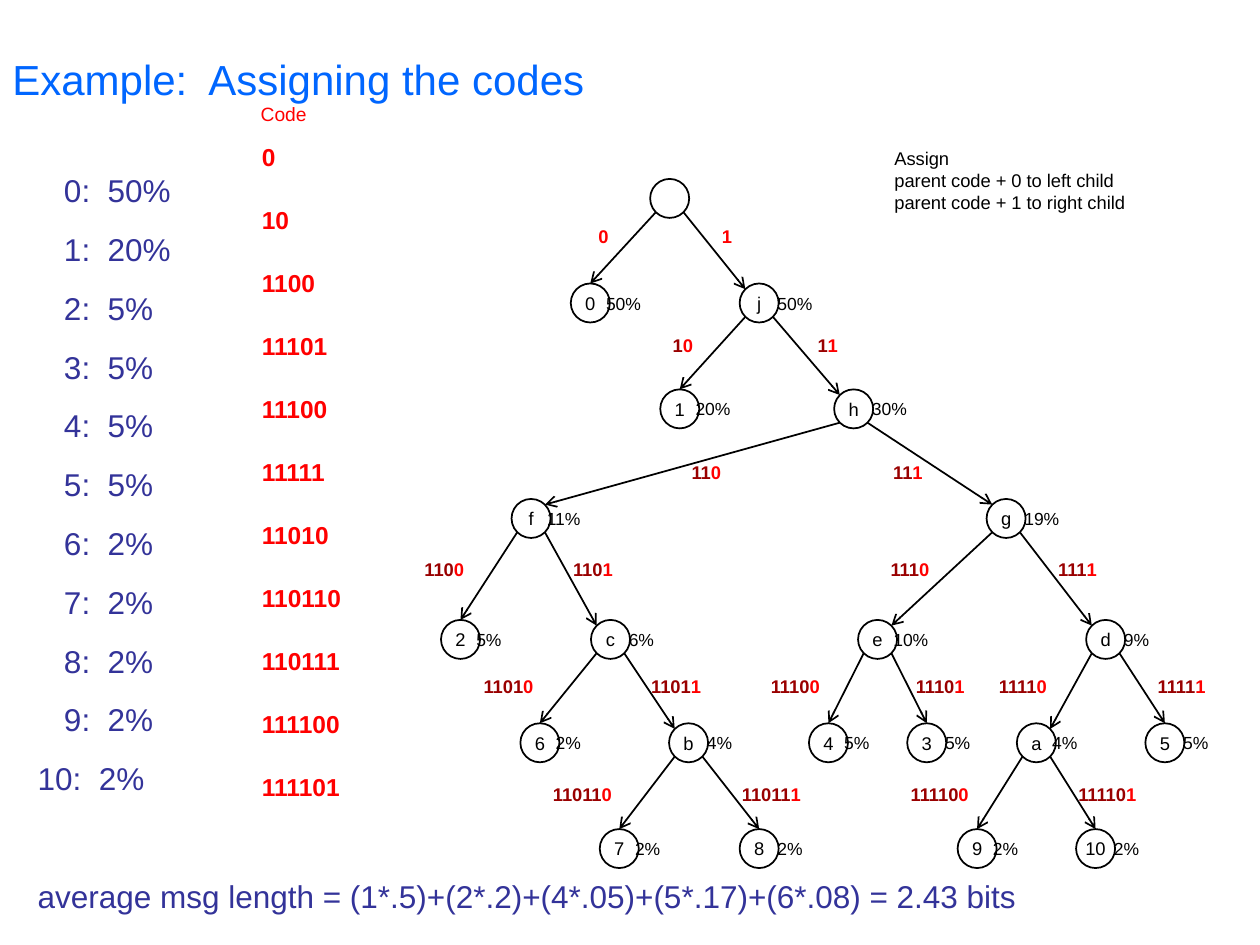
from lxml import etree
from pptx import Presentation
from pptx.dml.color import RGBColor
from pptx.enum.shapes import MSO_CONNECTOR, MSO_SHAPE
from pptx.enum.text import MSO_ANCHOR, PP_ALIGN
from pptx.oxml.ns import qn
from pptx.util import Inches, Pt

COLORS = {"title": "0066FF", "body": "333399", "code": "FF0000",
          "prefix": "990000", "ink": "000000", "paper": "FFFFFF"}
NODE = 0.31
NEAR, FAR = 0.045, 0.265
LEVELS = [1.42, 2.25, 3.09, 3.96, 4.92, 5.74, 6.58]
LABEL_LEVELS = [0, 1.74, 2.6, 3.61, 4.38, 5.31, 6.17]
TREE_FIELDS = ("symbol", "share", "node left", "edge label left")

TREE = {
    "": ("", "", 5.16, 0),
    "0": ("0", "50%", 4.53, 4.65),
    "1": ("j", "50%", 5.87, 5.63),
    "10": ("1", "20%", 5.24, 5.24),
    "11": ("h", "30%", 6.62, 6.39),
    "110": ("f", "11%", 4.06, 5.39),
    "111": ("g", "19%", 7.83, 6.99),
    "1100": ("2", "5%", 3.5, 3.27),
    "1101": ("c", "6%", 4.69, 4.45),
    "1110": ("e", "10%", 6.81, 6.97),
    "1111": ("d", "9%", 8.62, 8.3),
    "11010": ("6", "2%", 4.13, 3.74),
    "11011": ("b", "4%", 5.31, 5.07),
    "11100": ("4", "5%", 6.42, 6.02),
    "11101": ("3", "5%", 7.2, 7.17),
    "11110": ("a", "4%", 8.07, 7.83),
    "11111": ("5", "5%", 9.09, 9.09),
    "110110": ("7", "2%", 4.76, 4.29),
    "110111": ("8", "2%", 5.87, 5.79),
    "111100": ("9", "2%", 7.6, 7.13),
    "111101": ("10", "2%", 8.54, 8.46),
}


class TreeSlide:
    """Draws styled text, nodes and arrows on one slide."""

    def __init__(self, slide, font="Arial"):
        self.slide = slide
        self.font = font

    def run(self, paragraph, text, size, color, bold=False):
        run = paragraph.add_run()
        run.text = text
        run.font.name = self.font
        run.font.size = Pt(size)
        run.font.bold = bold
        run.font.color.rgb = RGBColor.from_string(COLORS[color])

    def text(self, x, y, w, h, lines, size, color, bold=False, wrap=True,
             anchor=MSO_ANCHOR.TOP):
        box = self.slide.shapes.add_textbox(Inches(x), Inches(y), Inches(w), Inches(h))
        frame = box.text_frame
        frame.word_wrap = wrap
        frame.vertical_anchor = anchor
        for i, line in enumerate(lines):
            paragraph = frame.add_paragraph() if i else frame.paragraphs[0]
            self.run(paragraph, line, size, color, bold)
        return frame

    def node(self, x, y, symbol):
        oval = self.slide.shapes.add_shape(
            MSO_SHAPE.OVAL, Inches(x), Inches(y), Inches(NODE), Inches(NODE))
        oval.shadow.inherit = False
        oval.fill.solid()
        oval.fill.fore_color.rgb = RGBColor.from_string(COLORS["paper"])
        oval.line.color.rgb = RGBColor.from_string(COLORS["ink"])
        oval.line.width = Pt(1)
        if symbol:
            frame = oval.text_frame
            frame.word_wrap = False
            frame.margin_left = frame.margin_right = 0
            frame.margin_top = frame.margin_bottom = 0
            frame.vertical_anchor = MSO_ANCHOR.MIDDLE
            frame.paragraphs[0].alignment = PP_ALIGN.CENTER
            self.run(frame.paragraphs[0], symbol, 10.5, "ink")

    def share(self, x, y, text):
        frame = self.text(x, y, 0.35, NODE, [text], 10, "ink", wrap=False,
                          anchor=MSO_ANCHOR.MIDDLE)
        frame.margin_left = frame.margin_right = 0

    def arrow(self, x1, y1, x2, y2):
        line = self.slide.shapes.add_connector(
            MSO_CONNECTOR.STRAIGHT, Inches(x1), Inches(y1), Inches(x2), Inches(y2))
        line.line.color.rgb = RGBColor.from_string(COLORS["ink"])
        line.line.width = Pt(1)
        properties = line.element.spPr
        etree.SubElement(properties.find(qn("a:ln")), qn("a:tailEnd"), type="arrow")
        etree.SubElement(properties, qn("a:effectLst"))

    def edge_label(self, x, y, code):
        frame = self.text(x, y, 0.22 + 0.09 * len(code), 0.29, [], 10.5, "code", wrap=False)
        if code[:-1]:
            self.run(frame.paragraphs[0], code[:-1], 10.5, "prefix", True)
        self.run(frame.paragraphs[0], code[-1], 10.5, "code", True)


prs = Presentation()
prs.slide_width, prs.slide_height = Inches(10), Inches(7.5)
page = TreeSlide(prs.slides.add_slide(prs.slide_layouts[6]))

page.text(0, 0, 10, 1.25, ["Example:  Assigning the codes"], 24, "title",
          anchor=MSO_ANCHOR.MIDDLE)

leaves = sorted((int(symbol), share, code) for code, (symbol, share, _, _) in TREE.items()
                if symbol.isdigit())
lines = [f"{symbol}:  {share}" for symbol, share, _ in leaves]
lines.append("average msg length = (1*.5)+(2*.2)+(4*.05)+(5*.17)+(6*.08) = 2.43 bits")
body = page.text(0, 1.31, 10, 6.19, lines, 18, "body")
for i, paragraph in enumerate(body.paragraphs):
    paragraph.space_before = Pt(12 if i else 0)
    props = paragraph._p.get_or_add_pPr()
    props.set("marL", str(Inches(0.41)))
    props.set("indent", str(Inches(0 if i < 10 else -0.21)))
body.paragraphs[-1].space_before = Pt(45.8)

for code, (symbol, share, x, label_x) in TREE.items():
    depth = len(code)
    y = LEVELS[depth]
    page.node(x, y, symbol)
    if not code:
        continue
    is_left = code[-1] == "0"
    page.share(x + (0.28 if is_left else 0.3), y, share)
    parent_x = TREE[code[:-1]][2]
    start_x = parent_x + (NEAR if is_left else FAR)
    if symbol.isdigit():
        end_x, end_y = x + NODE / 2, y
    else:
        end_x, end_y = x + (FAR if is_left else NEAR), y + NEAR
    page.arrow(start_x, LEVELS[depth - 1] + FAR, end_x, end_y)
    page.edge_label(label_x, LABEL_LEVELS[depth], code)

page.text(7, 1.12, 2.68, 0.63, ["Assign", "parent code + 0 to left child",
                                "parent code + 1 to right child"], 10.5, "ink")
page.text(1.97, 0.76, 0.79, 0.29, ["Code"], 11, "code")
for i, (_, _, code) in enumerate(leaves):
    page.text(1.98, 1.08 + 0.5 * i, 0.25 + 0.11 * len(code), 0.34, [code], 14, "code",
              bold=True, wrap=False)

prs.save("out.pptx")
